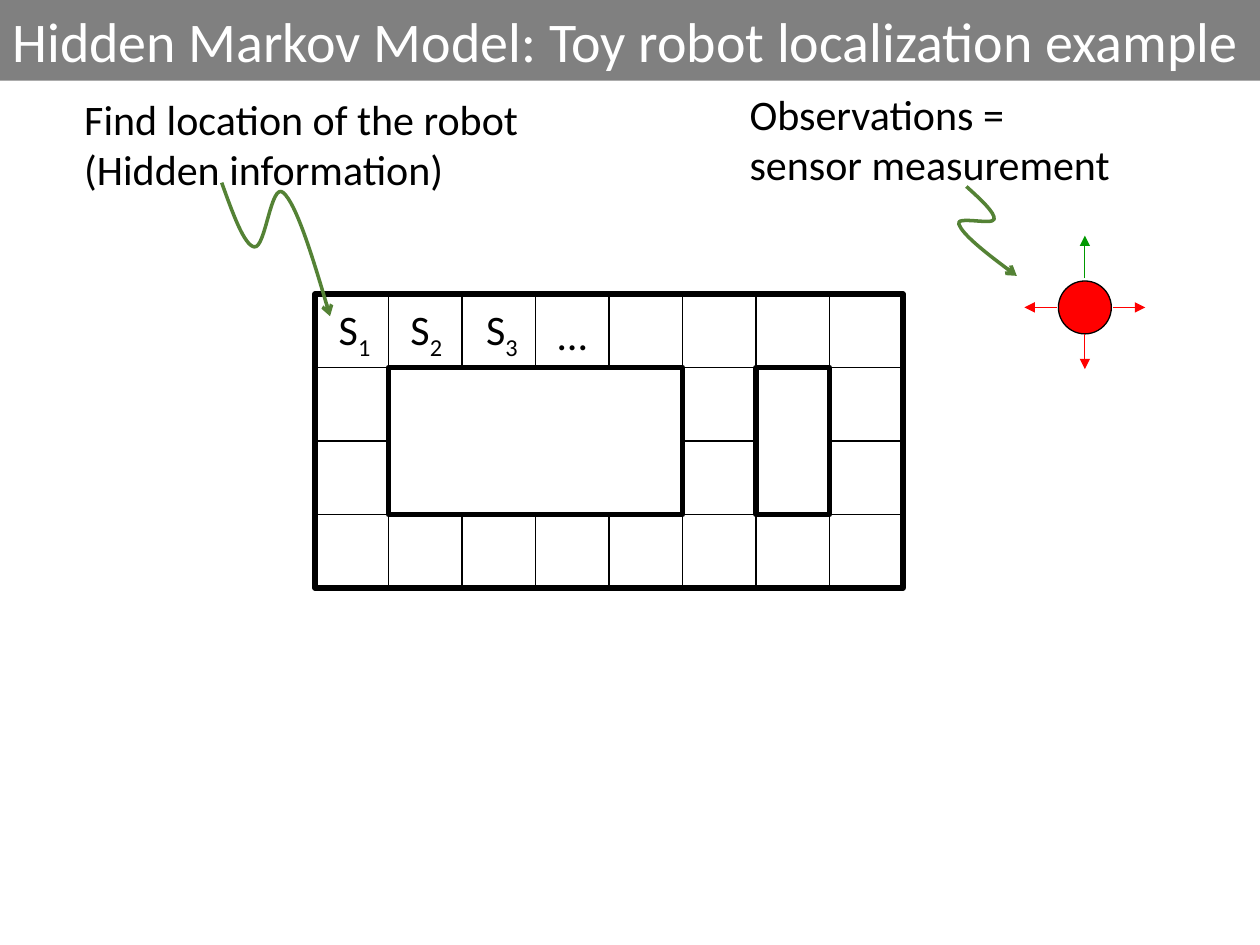
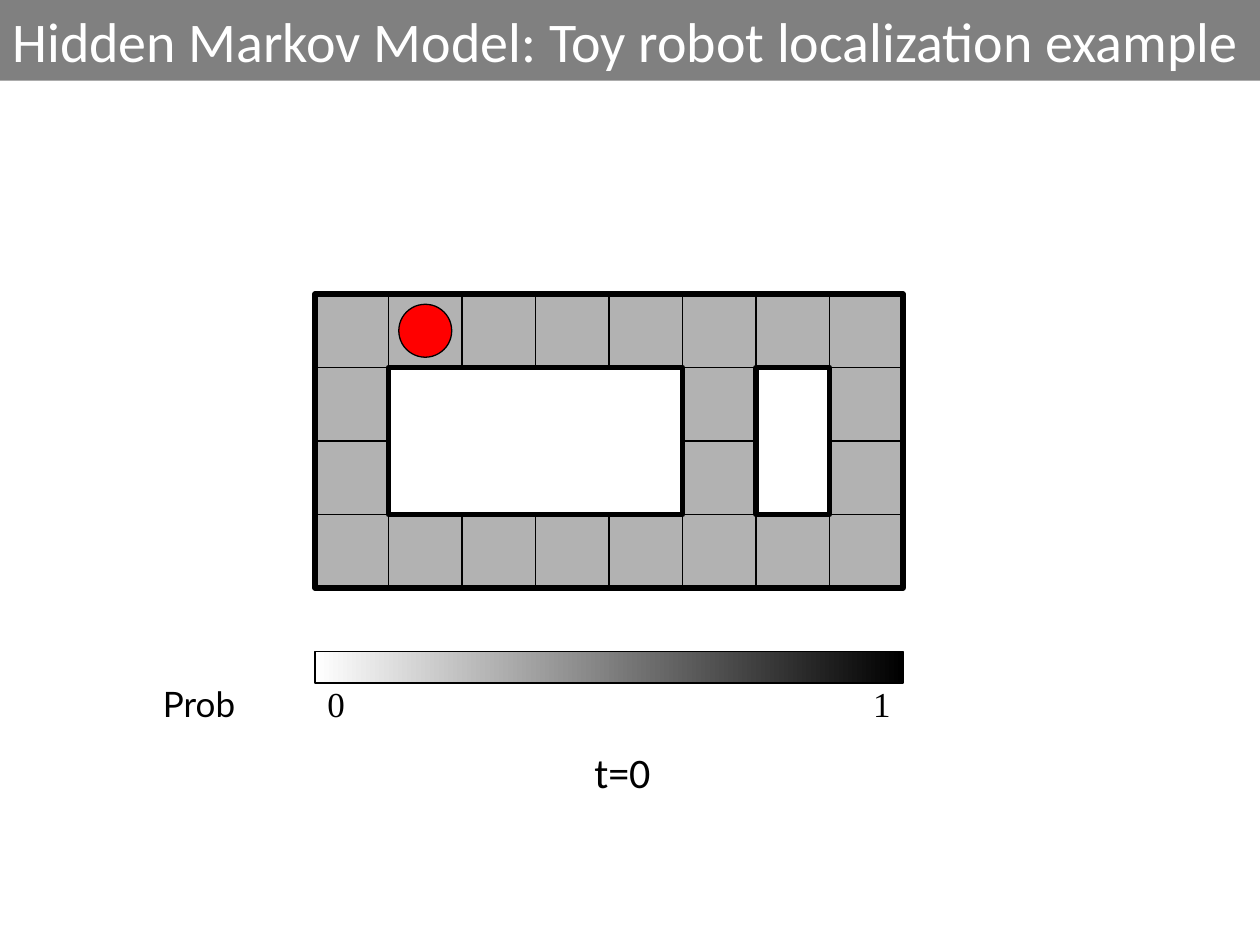
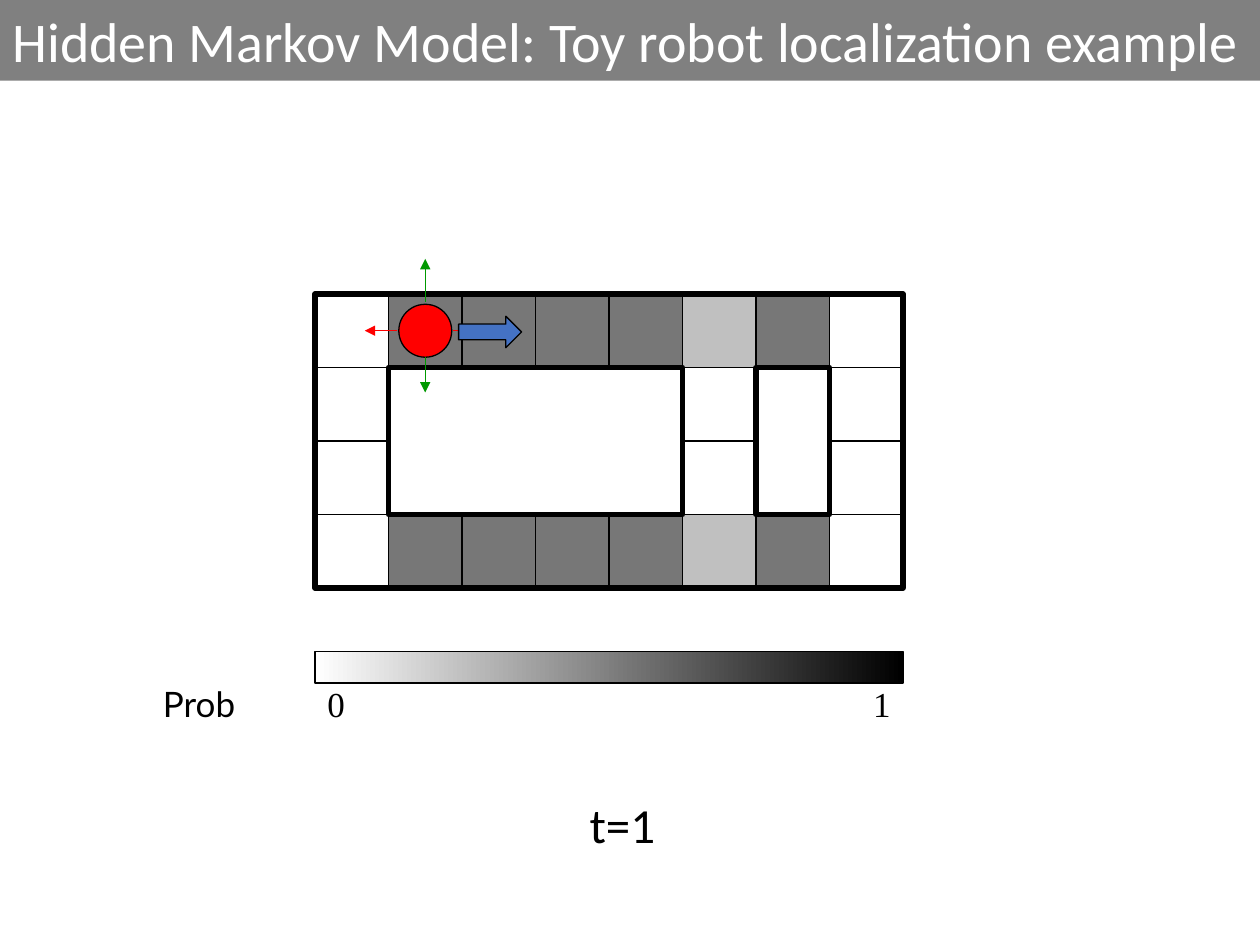
from dataclasses import dataclass
from typing import NamedTuple, Optional

from lxml.etree import SubElement
from pptx import Presentation
from pptx.dml.color import RGBColor
from pptx.enum.shapes import MSO_CONNECTOR, MSO_SHAPE
from pptx.enum.text import MSO_ANCHOR, PP_ALIGN
from pptx.oxml.ns import qn
from pptx.util import Inches, Pt


@dataclass(frozen=True)
class Theme:
    font: str = "Calibri"
    scale_font: str = "Times New Roman"
    label_font: str = "Lato"
    title_size: int = 32
    time_size: int = 28
    text_size: int = 24
    scale_size: int = 20
    thin: float = 0.75
    pointer: float = 2
    wall: float = 3
    black: str = "000000"
    white: str = "FFFFFF"
    band: str = "808080"
    red: str = "FF0000"
    green: str = "009900"
    pointer_green: str = "548235"
    move_blue: str = "4472C4"


class Box(NamedTuple):
    left: float
    top: float
    width: float
    height: float

    def lengths(self) -> list:
        return [Inches(v) for v in self]


class Sensor(NamedTuple):
    """A ray from the robot: unit direction, start and end distance."""
    dx: int
    dy: int
    start: float
    end: float


class Pointer(NamedTuple):
    """Start point followed by the three points of each Bezier piece."""
    points: tuple


T = Theme()
TITLE = "Hidden Markov Model: Toy robot localization example"
CELL = 7 / 12
COLS, ROWS = 8, 4
MAP_LEFT, MAP_TOP = 2.5, 7 / 3
ROBOT_SIZE = 0.42

# One letter per cell shade; "#" is a wall and "." an unshaded cell.
SHADES = {".": None, "m": "B2B2B2", "d": "777777", "l": "C0C0C0"}
UNSHADED = ("........", ".####.#.")
UNIFORM = ("mmmmmmmm", "m####m#m")
CORRIDORS = (".ddddld.", ".####.#.")

UP = Sensor(0, -1, 0.23, 0.57)
DOWN = Sensor(0, 1, 0.21, 0.49)
LEFT = Sensor(-1, 0, 0.22, 0.48)
RIGHT = Sensor(1, 0, 0.22, 0.48)

TO_STATE = Pointer((
    (1.76, 1.45), (1.85, 1.7), (1.94, 1.95), (2.02, 1.96), (2.11, 1.97),
    (2.15, 1.44), (2.25, 1.53), (2.35, 1.62), (2.49, 2.06), (2.62, 2.51)))
TO_SENSORS = Pointer((
    (7.67, 1.48), (7.78, 1.58), (7.9, 1.69), (7.89, 1.74), (7.88, 1.79),
    (7.58, 1.71), (7.61, 1.78), (7.64, 1.86), (7.85, 2.03), (8.07, 2.19)))


def rgb(color: str) -> RGBColor:
    return RGBColor.from_string(color)


def write(sp, text: str, *, size: int = T.text_size, font: str = T.font,
          color: str = T.black, align=PP_ALIGN.LEFT, anchor=MSO_ANCHOR.TOP,
          wrap: bool = False, spacing: Optional[float] = None) -> None:
    """Fill a shape with text; "_" starts a subscript, a newline a paragraph."""
    tf = sp.text_frame
    tf.word_wrap = wrap
    tf.vertical_anchor = anchor
    for i, line in enumerate(text.split("\n")):
        p = tf.add_paragraph() if i else tf.paragraphs[0]
        p.alignment = align
        if spacing:
            p.line_spacing = spacing
        for j, part in enumerate(line.split("_")):
            r = p.add_run()
            r.text = part
            r.font.size = Pt(size)
            r.font.name = font
            r.font.color.rgb = rgb(color)
            if j:
                r.font._element.set("baseline", "-25000")


def add_text(s, box: Box, text: str, **fmt) -> None:
    write(s.shapes.add_textbox(*box.lengths()), text, **fmt)


def add_box(s, box: Box, fill: Optional[str] = None, line: Optional[float] = T.thin,
            kind=MSO_SHAPE.RECTANGLE):
    sp = s.shapes.add_shape(kind, *box.lengths())
    sp.shadow.inherit = False
    if fill:
        sp.fill.solid()
        sp.fill.fore_color.rgb = rgb(fill)
    else:
        sp.fill.background()
    if line:
        sp.line.color.rgb = rgb(T.black)
        sp.line.width = Pt(line)
    else:
        sp.line.fill.background()
    return sp


def style_arrow(sp, color: str, width: float, head: str) -> None:
    sp.line.color.rgb = rgb(color)
    sp.line.width = Pt(width)
    SubElement(sp.line._get_or_add_ln(), qn("a:tailEnd"), type=head)


def add_sensor(s, x: float, y: float, ray: Sensor, color: str) -> None:
    ends = [Inches(v) for d in (ray.start, ray.end)
            for v in (x + ray.dx * d, y + ray.dy * d)]
    c = s.shapes.add_connector(MSO_CONNECTOR.STRAIGHT, *ends)
    style_arrow(c, color, T.thin, "triangle")
    SubElement(c._element.spPr, qn("a:effectLst"))


def add_pointer(s, pointer: Pointer) -> None:
    """Build the outline through every point, then join threes into curves."""
    start, *rest = [(Inches(x), Inches(y)) for x, y in pointer.points]
    builder = s.shapes.build_freeform(*start)
    builder.add_line_segments(rest, close=False)
    sp = builder.convert_to_shape()
    sp.shadow.inherit = False
    sp.fill.background()
    style_arrow(sp, T.pointer_green, T.pointer, "arrow")
    outline = next(sp._element.iter(qn("a:path")))
    segments = outline.findall(qn("a:lnTo"))
    for i in range(0, len(segments), 3):
        curve = SubElement(outline, qn("a:cubicBezTo"))
        for segment in segments[i:i + 3]:
            curve.append(segment[0])
            outline.remove(segment)


def cells(col: int, row: int, width: int = 1, height: int = 1) -> Box:
    return Box(MAP_LEFT + col * CELL, MAP_TOP + row * CELL, width * CELL, height * CELL)


def cell_center(col: int, row: int) -> tuple[float, float]:
    return MAP_LEFT + (col + 0.5) * CELL, MAP_TOP + (row + 0.5) * CELL


def add_map(s, shading: tuple[str, str]) -> None:
    """Draw the map; its outer rows look alike, and so do its inner rows."""
    outer, inner = shading
    for row, letters in enumerate((outer, inner, inner, outer)):
        for col, letter in enumerate(letters):
            if letter != "#":
                add_box(s, cells(col, row), SHADES[letter])
    add_box(s, cells(1, 1, 4, 2), T.white, T.wall)
    add_box(s, cells(0, 0, COLS, ROWS), line=T.wall)
    add_box(s, cells(6, 1, 1, 2), line=T.wall)


def add_robot(s, x: float, y: float, sensors: Optional[dict[Sensor, str]] = None) -> None:
    half = ROBOT_SIZE / 2
    add_box(s, Box(x - half, y - half, ROBOT_SIZE, ROBOT_SIZE), T.red, kind=MSO_SHAPE.OVAL)
    for ray, color in (sensors or {}).items():
        add_sensor(s, x, y, ray, color)


def add_probability_scale(s) -> None:
    width = COLS * CELL
    bar = add_box(s, Box(MAP_LEFT, 5.17, width, 0.25))
    bar.fill.gradient()
    bar.fill.gradient_angle = 0
    for stop, color in zip(bar.fill.gradient_stops, (T.white, T.black)):
        stop.color.rgb = rgb(color)
    for left, label_width, text, font, align in (
            (MAP_LEFT + width / 2, width / 2, "1", T.scale_font, PP_ALIGN.RIGHT),
            (MAP_LEFT, width / 2, "0", T.scale_font, PP_ALIGN.LEFT),
            (0.83, 1.5, "Prob", T.label_font, PP_ALIGN.CENTER)):
        add_text(s, Box(left, 5.42, label_width, 0.33), text, size=T.scale_size,
                 font=font, align=align, anchor=MSO_ANCHOR.MIDDLE)


def add_time(s, text: str, top: float, size: int) -> None:
    add_text(s, Box(0.69, top, 8.5, 7.31 - top), text, size=size,
             align=PP_ALIGN.CENTER, wrap=True, spacing=0.9)


def new_slide(prs, shading: tuple[str, str]):
    s = prs.slides.add_slide(prs.slide_layouts[6])
    band = add_box(s, Box(0, 0, 10, 0.64), T.band, line=None)
    write(band, TITLE, size=T.title_size, color=T.white, wrap=True)
    add_map(s, shading)
    return s


def build_problem(prs) -> None:
    s = new_slide(prs, UNSHADED)
    add_text(s, Box(0.57, 0.69, 3.68, 0.91), "Find location of the robot\n(Hidden information)")
    add_text(s, Box(5.85, 0.65, 3.09, 0.91), "Observations =\nsensor measurement")
    for left, state in ((2.59, "S_1"), (3.16, "S_2"), (3.76, "S_3")):
        add_text(s, Box(left, 2.36, 0.47, 0.5), state)
    add_text(s, Box(4.33, 2.4, 0.44, 0.5), "…")
    add_pointer(s, TO_STATE)
    add_pointer(s, TO_SENSORS)
    add_robot(s, 8.61, 2.44, {UP: T.green, DOWN: T.red, LEFT: T.red, RIGHT: T.red})


def build_start(prs) -> None:
    s = new_slide(prs, UNIFORM)
    add_robot(s, *cell_center(1, 0))
    add_probability_scale(s)
    add_time(s, "t=0", 5.92, T.text_size)


def build_first_step(prs) -> None:
    s = new_slide(prs, CORRIDORS)
    add_robot(s, *cell_center(1, 0),
              {UP: T.green, DOWN: T.green, LEFT: T.red, RIGHT: T.red})
    add_box(s, Box(3.64, 2.51, 0.5, 0.25), T.move_blue, kind=MSO_SHAPE.RIGHT_ARROW)
    add_probability_scale(s)
    add_time(s, "t=1", 6.31, T.time_size)


def main() -> None:
    prs = Presentation()
    prs.slide_width, prs.slide_height = Inches(10), Inches(7.5)
    build_problem(prs)
    build_start(prs)
    build_first_step(prs)
    prs.save("out.pptx")


if __name__ == "__main__":
    main()
